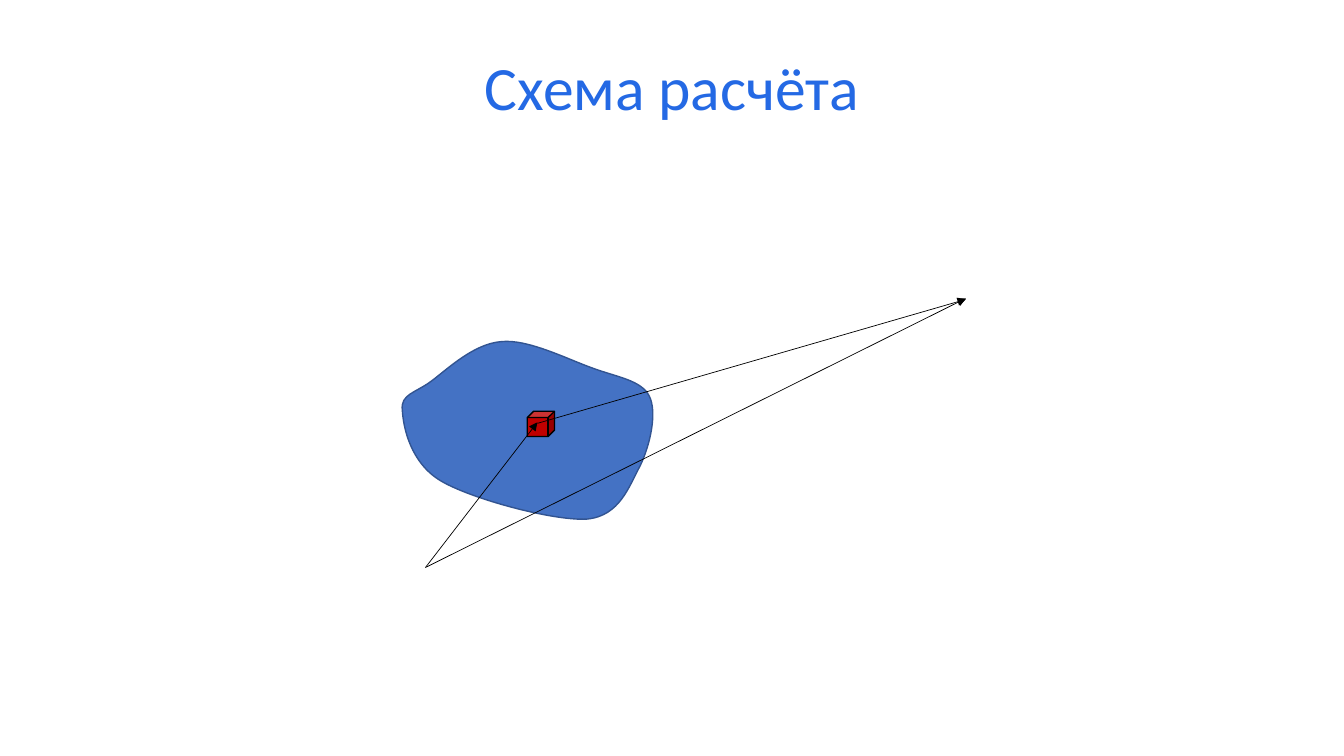
import pptx
import pptx.util
import pptx.dml.color
import pptx.enum.shapes
import pptx.enum.text
import pptx.oxml
import pptx.oxml.ns
import lxml.etree
from dataclasses import dataclass

Inches = pptx.util.Inches
Pt = pptx.util.Pt


@dataclass(frozen=True)
class Theme:
    font: str = "Calibri"
    title_size: float = 44
    title_color: str = "2469E4"
    body_fill: str = "4472C4"
    body_line: str = "325491"
    cell_fill: str = "C00000"
    ink: str = "000000"
    outline_width: float = 1
    ray_width: float = 0.5


THEME = Theme()

# Outline of the body, in inches from the corner of its box:
# each curve has two control points and an end point
BODY_START = (0, 0.69)
BODY_CURVES = [
    ((0.01, 0.86), (0.08, 1.21), (0.38, 1.39)),
    ((0.68, 1.57), (1.50, 1.79), (1.83, 1.77)),
    ((2.16, 1.74), (2.25, 1.44), (2.36, 1.24)),
    ((2.46, 1.03), (2.53, 0.71), (2.45, 0.55)),
    ((2.37, 0.39), (2.12, 0.36), (1.88, 0.27)),
    ((1.63, 0.18), (1.24, -0.02), (0.98, 0.01)),
    ((0.71, 0.03), (0.45, 0.28), (0.29, 0.40)),
    ((0.13, 0.52), (-0.02, 0.53), BODY_START),
]


def color(value):
    return pptx.dml.color.RGBColor.from_string(value)


def style_shape(shape, fill, line):
    shape.shadow.inherit = False
    shape.fill.solid()
    shape.fill.fore_color.rgb = color(fill)
    shape.line.color.rgb = color(line)
    shape.line.width = Pt(THEME.outline_width)


def add_title(slide, left, top, width, height):
    box = slide.shapes.add_textbox(
        Inches(left), Inches(top), Inches(width), Inches(height))
    frame = box.text_frame
    frame.word_wrap = True
    frame.vertical_anchor = pptx.enum.text.MSO_ANCHOR.MIDDLE
    paragraph = frame.paragraphs[0]
    paragraph.text = "Схема расчёта"
    paragraph.alignment = pptx.enum.text.PP_ALIGN.CENTER
    paragraph.line_spacing = 0.9
    paragraph.font.name = THEME.font
    paragraph.font.size = Pt(THEME.title_size)
    paragraph.font.color.rgb = color(THEME.title_color)


def add_body(shapes, left, top, width, height):
    builder = shapes.build_freeform(Inches(left), Inches(top))
    builder.add_line_segments(
        [(Inches(left + x), Inches(top + y)) for *controls, (x, y) in BODY_CURVES])
    body = builder.convert_to_shape()
    body.left, body.top = Inches(left), Inches(top)
    body.width, body.height = Inches(width), Inches(height)

    # Smooth outline: cubic curves take the place of the straight segments
    tag = pptx.oxml.ns.qn
    outline = body._element.spPr.find(".//" + tag("a:path"))
    for segment in list(outline):
        outline.remove(segment)
    outline.set("w", str(Inches(width)))
    outline.set("h", str(Inches(height)))
    steps = [("a:moveTo", [BODY_START])]
    steps += [("a:cubicBezTo", curve) for curve in BODY_CURVES]
    for name, points in steps:
        step = lxml.etree.SubElement(outline, tag(name))
        for x, y in points:
            lxml.etree.SubElement(
                step, tag("a:pt"), x=str(Inches(x)), y=str(Inches(y)))
    lxml.etree.SubElement(outline, tag("a:close"))
    style_shape(body, THEME.body_fill, THEME.body_line)


def add_ray(shapes, start, end):
    ray = shapes.add_connector(
        pptx.enum.shapes.MSO_CONNECTOR.STRAIGHT,
        *(Inches(value) for value in (*start, *end)))
    ray.line.color.rgb = color(THEME.ink)
    ray.line.width = Pt(THEME.ray_width)
    # Arrowhead at the end, no shadow
    namespace = pptx.oxml.ns.nsdecls("a")
    ray.line._get_or_add_ln().append(
        pptx.oxml.parse_xml(f'<a:tailEnd {namespace} type="triangle"/>'))
    ray._element.spPr.append(pptx.oxml.parse_xml(f"<a:effectLst {namespace}/>"))


def add_diagram(slide, left, top, width, height):
    shapes = slide.shapes.add_group_shape().shapes
    add_body(shapes, left, top + 0.42, 2.48, 1.77)

    # Volume cell inside the body
    cell = shapes.add_shape(
        pptx.enum.shapes.MSO_SHAPE.CUBE,
        Inches(left + 1.24), Inches(top + 1.12), Inches(0.27), Inches(0.25))
    style_shape(cell, THEME.cell_fill, THEME.ink)

    # Rays between the origin, the cell and the observation point
    origin = (left + 0.23, top + height)
    cell_x = left + 1.34
    observer_x = left + width
    add_ray(shapes, origin, (observer_x, top))
    add_ray(shapes, origin, (cell_x, top + 1.23))
    add_ray(shapes, (cell_x, top + 1.24), (observer_x, top + 0.01))


def main():
    presentation = pptx.Presentation()
    presentation.slide_width = Inches(13.33)
    presentation.slide_height = Inches(7.5)
    slide = presentation.slides.add_slide(presentation.slide_layouts[6])
    add_title(slide, 2.29, 0.23, 8.75, 1.33)
    add_diagram(slide, 3.99, 2.96, 5.59, 2.67)
    presentation.save("out.pptx")


if __name__ == "__main__":
    main()
